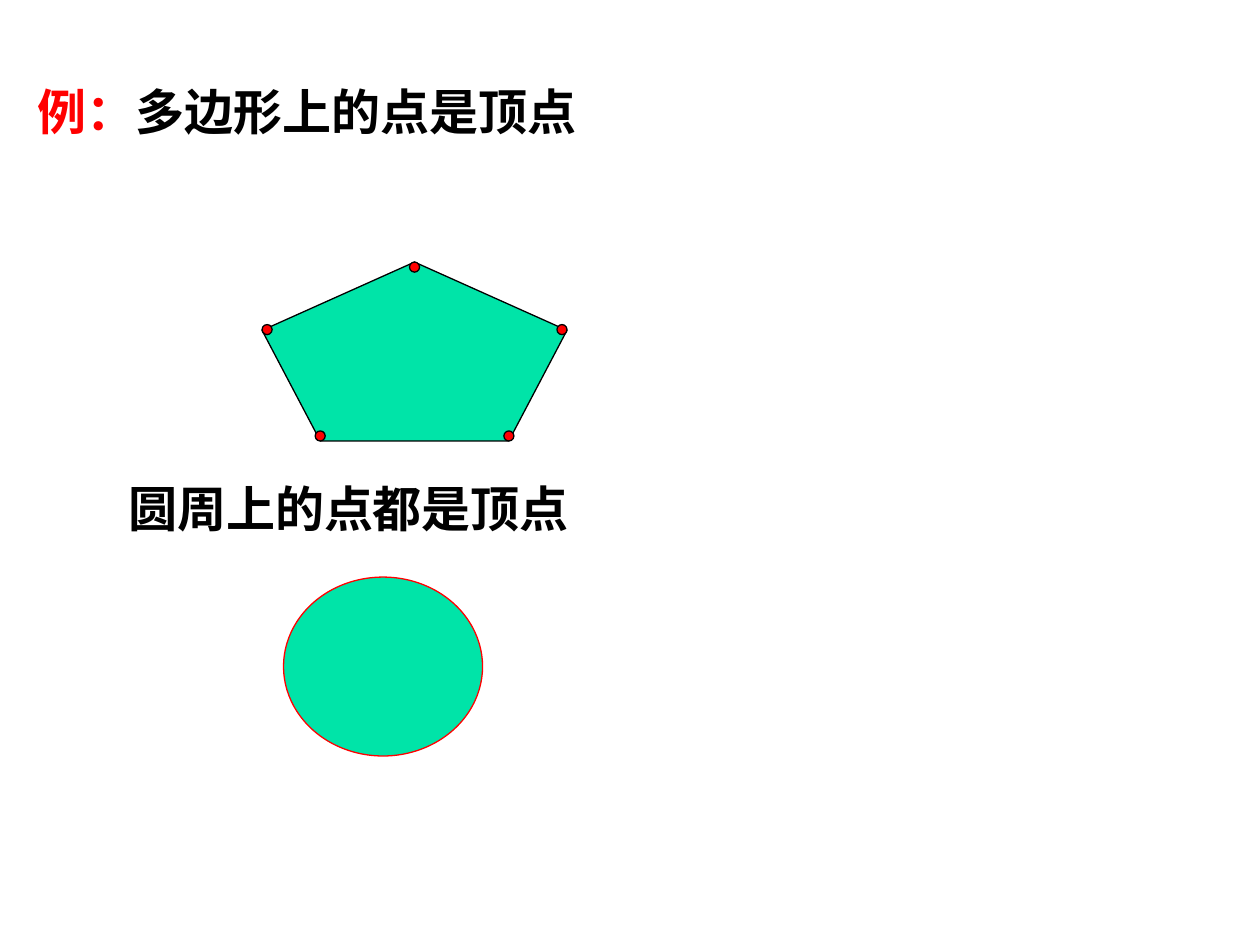
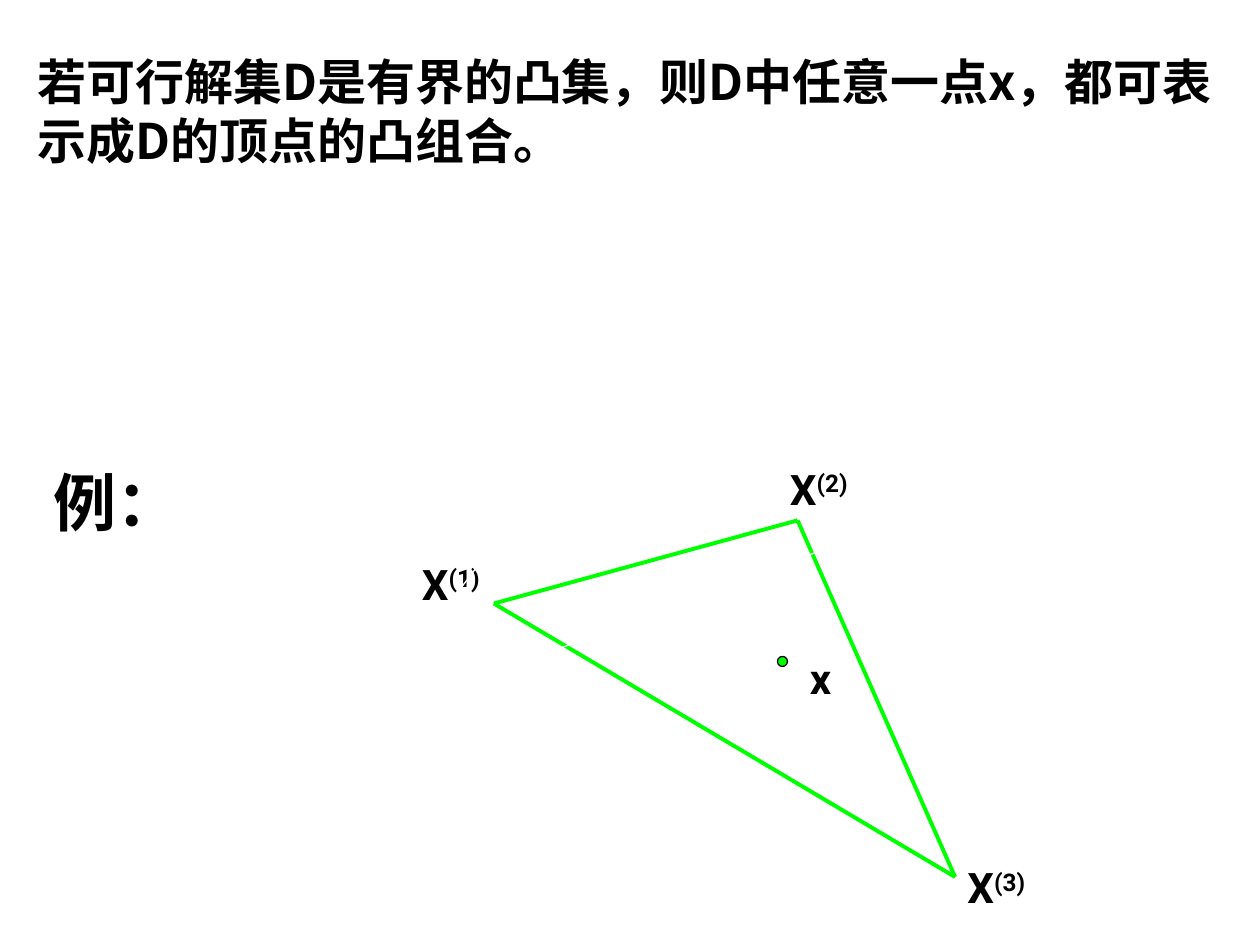
from lxml.etree import SubElement
from pptx import Presentation
from pptx.dml.color import RGBColor
from pptx.enum.shapes import MSO_CONNECTOR, MSO_SHAPE
from pptx.enum.text import MSO_ANCHOR, MSO_AUTO_SIZE, PP_ALIGN
from pptx.oxml.ns import qn
from pptx.util import Inches, Pt

COLORS = {"black": "000000", "red": "FF0000", "mint": "00E4A8",
          "green": "00FF00", "white": "FFFFFF"}
SERIF, SANS, CJK = "Times New Roman", "Roboto", "Noto Sans CJK SC"
HEADING_SIZE, EXAMPLE_SIZE, LABEL_SIZE = 28, 36, 24
DOT = 0.08

# Slide 1: a polygon has few vertices, a circle only vertices
POLYGON_TITLE = [("例：", {"color": "red"}), ("多边形上的点是顶点", {})]
CIRCLE_TEXT = "圆周上的点都是顶点"
PENTAGON_BOX = (2.08, 2.08, 2.42, 1.42)
CIRCLE_BOX = (2.25, 4.58, 1.58, 1.42)
VERTEX_SHARES = [(0.5, 0), (0, 0.37), (1, 0.37), (0.82, 1), (0.18, 1)]

# Slide 2: a point inside a triangle
TRIANGLE_TITLE = "若可行解集D是有界的凸集，则D中任意一点x，都可表示成D的顶点的凸组合。"
EXAMPLE_TEXT = "例："
CORNERS = [(3.92, 4.79), (6.33, 4.13), (7.58, 6.96)]
LABEL_PLACES = [(3.25, 4.38), (6.17, 3.63), (7.58, 6.79)]
LABEL_SIZE_BOX = (0.92, 0.5)
ORIGIN = (2.83, 5.75)
RAY_ENDS = [(3.92, 1.83), (7.5, 4), (6.33, 1.17)]
INNER_POINT = (6.17, 5.21)


def rgb(name):
    """Return the named colour."""
    return RGBColor.from_string(COLORS[name])


def write(shape, runs, box, size=HEADING_SIZE, font=SERIF):
    """Place a text shape and fill it with a string or (text, options) runs."""
    shape.left, shape.top, shape.width, shape.height = map(Inches, box)
    frame = shape.text_frame
    frame.word_wrap = True
    frame.auto_size = MSO_AUTO_SIZE.SHAPE_TO_FIT_TEXT
    frame.vertical_anchor = MSO_ANCHOR.TOP
    paragraph = frame.paragraphs[0]
    paragraph.alignment = PP_ALIGN.LEFT
    for text, options in [(runs, {})] if isinstance(runs, str) else runs:
        run = paragraph.add_run()
        run.text = text
        run.font.size, run.font.bold, run.font.name = Pt(size), True, font
        run.font.color.rgb = rgb(options.get("color", "black"))
        properties = run.font._element
        if options.get("raised"):
            properties.set("baseline", "30000")
        SubElement(properties, qn("a:ea")).set("typeface", CJK)


def add_text(slide, runs, box, **style):
    """Add a text box."""
    write(slide.shapes.add_textbox(0, 0, 0, 0), runs, box, **style)


def add_figure(slide, kind, box, fill, line="black"):
    """Add a flat outlined preset shape."""
    shape = slide.shapes.add_shape(kind, *map(Inches, box))
    shape.shadow.inherit = False
    shape.fill.solid()
    shape.fill.fore_color.rgb = rgb(fill)
    shape.line.color.rgb = rgb(line)
    shape.line.width = Pt(0.75)


def add_dot(slide, place, fill):
    """Add a small round point by its top left corner."""
    add_figure(slide, MSO_SHAPE.OVAL, (*place, DOT, DOT), fill)


def add_line(slide, start, end, color, width, arrow=False):
    """Add a straight line, with an arrowhead at its end if asked."""
    line = slide.shapes.add_connector(
        MSO_CONNECTOR.STRAIGHT, *map(Inches, (*start, *end)))
    line.line.color.rgb = rgb(color)
    line.line.width = Pt(width)
    if arrow:
        SubElement(line.line._get_or_add_ln(), qn("a:tailEnd")).set("type", "triangle")
    SubElement(line._element.spPr, qn("a:effectLst"))


def add_slide(presentation, title, box, **style):
    """Add a slide with its title placed and formatted."""
    slide = presentation.slides.add_slide(presentation.slide_layouts[5])
    write(slide.shapes.title, title, box, **style)
    return slide


def build_vertices(presentation):
    """Build the slide on the vertices of a polygon and a circle."""
    slide = add_slide(presentation, POLYGON_TITLE, (0.2, 0.6, 8.08, 1.27))
    add_figure(slide, MSO_SHAPE.REGULAR_PENTAGON, PENTAGON_BOX, "mint")
    left, top, width, height = PENTAGON_BOX
    for across, down in VERTEX_SHARES:
        place = left + across * (width - DOT), top + down * (height - DOT)
        add_dot(slide, place, "red")
    add_text(slide, CIRCLE_TEXT, (0.92, 3.75, 4.75, 0.57))
    add_figure(slide, MSO_SHAPE.OVAL, CIRCLE_BOX, "mint", line="red")


def build_triangle(presentation):
    """Build the slide on a point as a convex combination of corners."""
    slide = add_slide(presentation, TRIANGLE_TITLE, (0.2, 0.36, 9.53, 1.04), font=CJK)
    add_text(slide, EXAMPLE_TEXT, (0.33, 3.63, 1.83, 0.7), size=EXAMPLE_SIZE, font=SANS)
    for start, end in zip(CORNERS, CORNERS[1:] + CORNERS[:1]):
        add_line(slide, start, end, "green", 2.25)
    for number, place in enumerate(LABEL_PLACES, 1):
        add_text(slide, [("X", {}), (f"({number})", {"raised": True})],
                 (*place, *LABEL_SIZE_BOX), size=LABEL_SIZE, font=SANS)
    add_dot(slide, INNER_POINT, "green")
    add_text(slide, "x", (6.33, 5.13, 0.33, 0.5), size=LABEL_SIZE, font=SANS)
    # White rays cut fine gaps into the lines they cross
    for end in RAY_ENDS:
        add_line(slide, ORIGIN, end, "white", 0.75, arrow=True)


presentation = Presentation()
presentation.slide_width, presentation.slide_height = Inches(10), Inches(7.5)
build_vertices(presentation)
build_triangle(presentation)
presentation.save("out.pptx")
